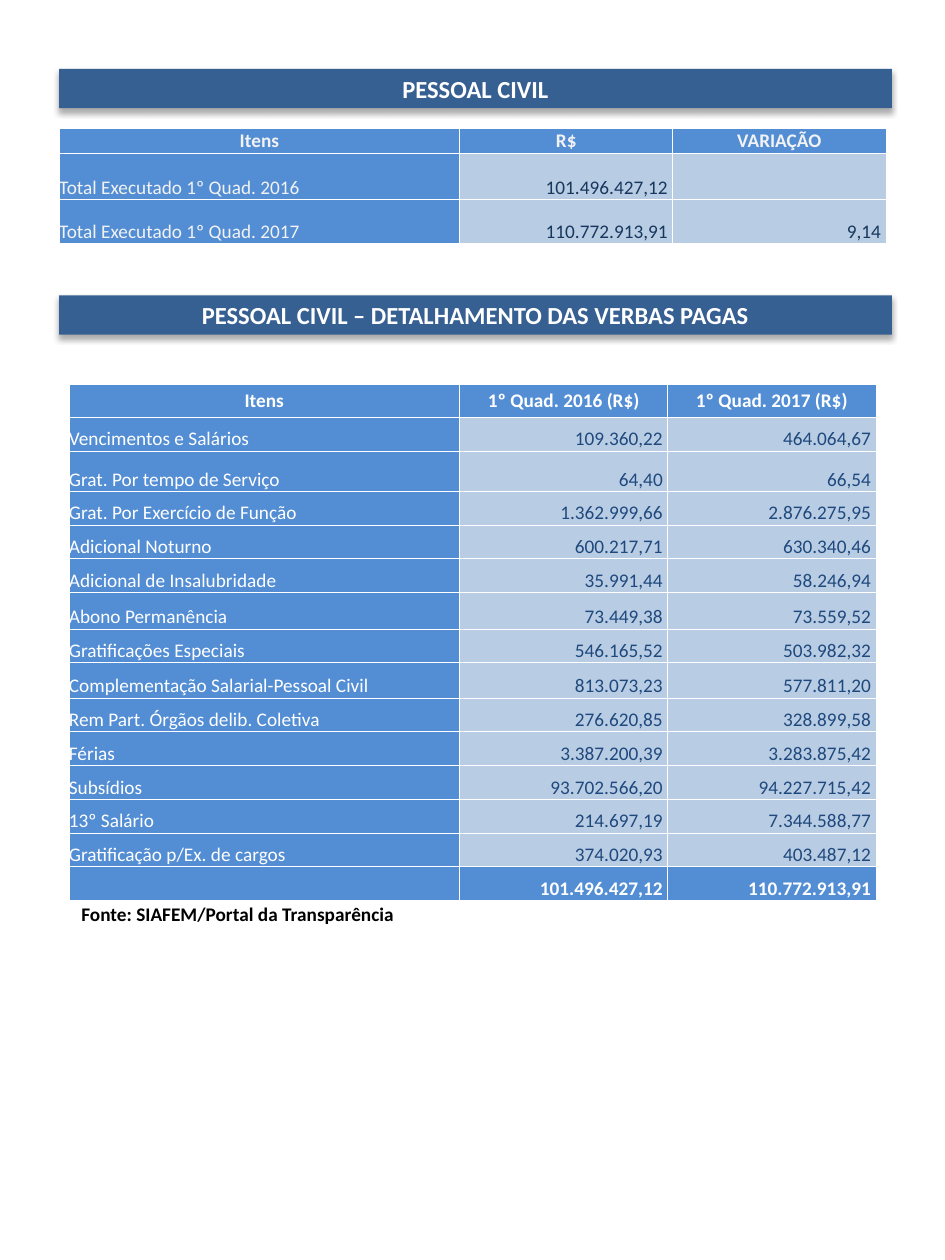
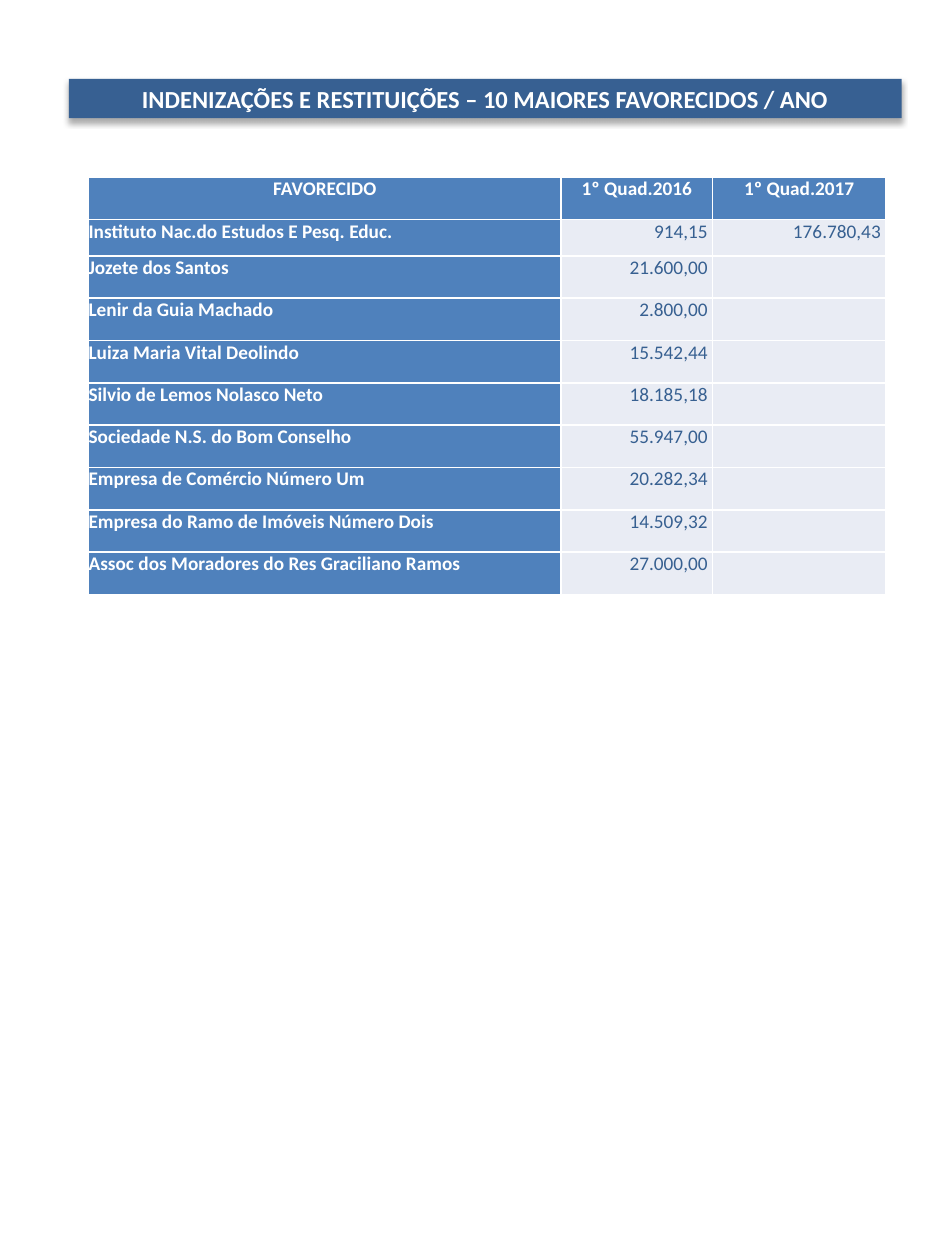
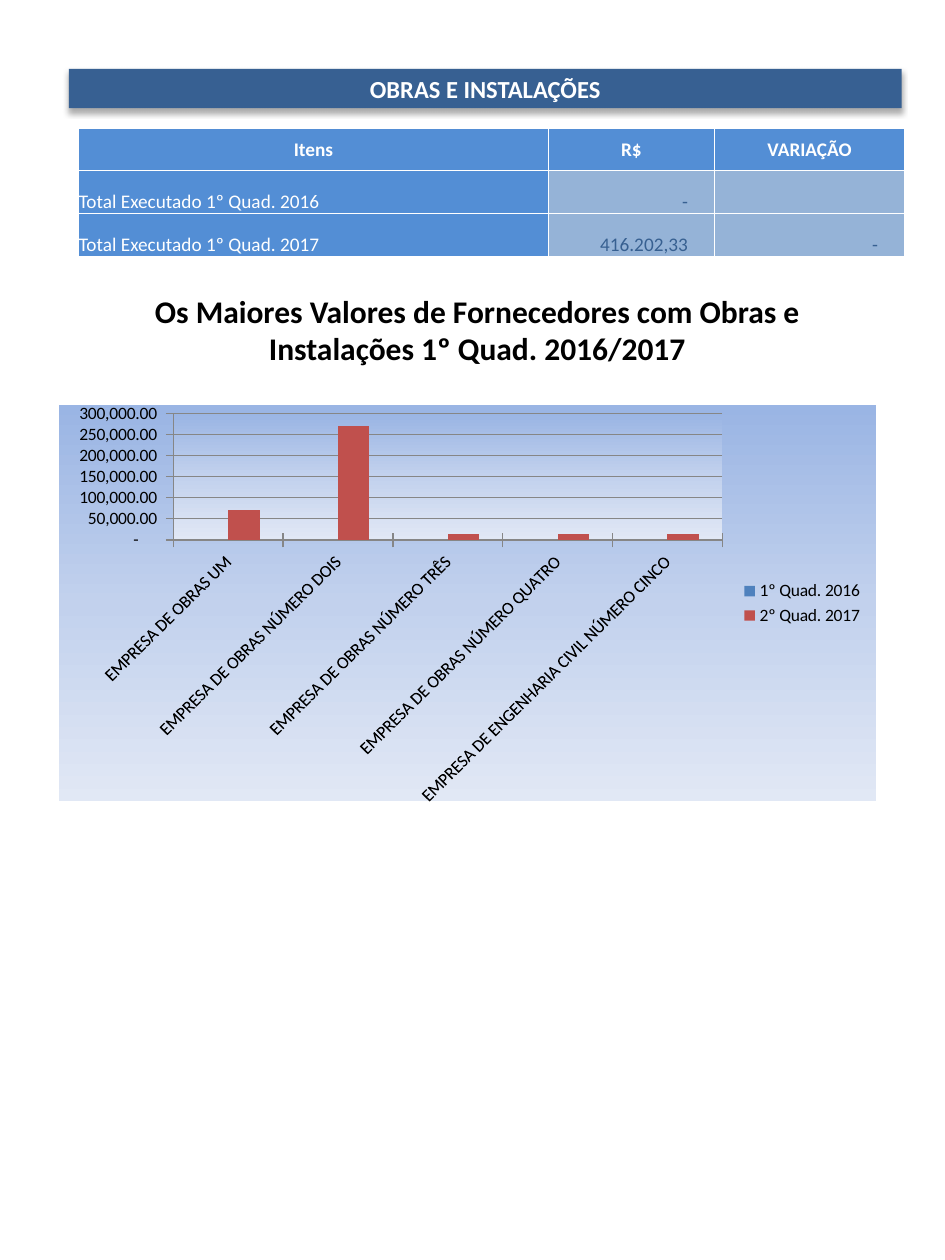
from dataclasses import dataclass
from typing import Any

import pptx
import pptx.chart.data
import pptx.dml.color
import pptx.enum.chart
import pptx.enum.shapes
import pptx.enum.text
import pptx.oxml
import pptx.oxml.ns
import pptx.util

ALIGN = pptx.enum.text.PP_ALIGN
ANCHOR = pptx.enum.text.MSO_ANCHOR
CHART = pptx.enum.chart
WIDE, HIGH = pptx.util.Inches(7.5), pptx.util.Inches(10)
STEP = WIDE / 96


@dataclass(frozen=True)
class Theme:
    font: str = "Calibri"
    band: str = "376092"
    white: str = "FFFFFF"
    black: str = "000000"
    line: str = "868686"
    first: str = "4F81BD"
    second: str = "C0504D"
    fade: tuple[str, ...] = ("9AB5E4", "C2D1ED", "E1E8F5")
    small: int = 10
    body: int = 11
    title: int = 14
    large: int = 18


THEME = Theme()


@dataclass(frozen=True)
class Box:
    col: float
    row: float
    wide: float
    high: float

    def place(self) -> tuple[int, ...]:
        return tuple(grid(n) for n in (self.col, self.row, self.wide, self.high))


@dataclass(frozen=True)
class Look:
    head: str
    fill: str
    ink: str
    label: str = THEME.white
    bold: bool = False
    anchor: Any = ANCHOR.BOTTOM
    top: Any = ANCHOR.MIDDLE
    edge: float = 0.5
    pad: float = 0.5


@dataclass(frozen=True)
class Sheet:
    col: float
    row: float
    cols: tuple[float, ...]
    rows: tuple[float, ...]
    look: Look
    data: list[tuple[str, ...]]
    total: bool = False


BLUE = Look("538ED5", "B8CCE4", "1F497D")
SUM = Look("538ED5", "B8CCE4", "17375D", label="F2F2F2")
PALE = Look("4F81BC", "E9ECF4", "376091", bold=True, anchor=ANCHOR.TOP,
            top=ANCHOR.TOP, edge=1)
WORKS = Look("538ED5", "95B3D7", "376091", pad=2.7)

STAFF = Sheet(6, 13, (40.7, 21.65, 21.65), (2.56, 4.7, 4.5), SUM, [
    ("Itens", "R$", "VARIAÇÃO"),
    ("Total Executado 1º Quad. 2016", "101.496.427,12", ""),
    ("Total Executado 1º Quad. 2017", "110.772.913,91", "9,14"),
])
PAY = Sheet(7, 39, (39.7, 21.15, 21.15),
            (3.4, 3.43, 4.1) + (3.43,) * 3 + (3.7, 3.43, 3.6) + (3.43,) * 6, BLUE, [
    ("Itens", "1º Quad. 2016 (R$)", "1º Quad. 2017 (R$)"),
    ("Vencimentos e Salários", "109.360,22", "464.064,67"),
    ("Grat. Por tempo de Serviço", "64,40", "66,54"),
    ("Grat. Por Exercício de Função", "1.362.999,66", "2.876.275,95"),
    ("Adicional Noturno", "600.217,71", "630.340,46"),
    ("Adicional de Insalubridade", "35.991,44", "58.246,94"),
    ("Abono Permanência", "73.449,38", "73.559,52"),
    ("Gratificações Especiais", "546.165,52", "503.982,32"),
    ("Complementação Salarial-Pessoal Civil", "813.073,23", "577.811,20"),
    ("Rem Part. Órgãos delib. Coletiva", "276.620,85", "328.899,58"),
    ("Férias", "3.387.200,39", "3.283.875,42"),
    ("Subsídios", "93.702.566,20", "94.227.715,42"),
    ("13º Salário", "214.697,19", "7.344.588,77"),
    ("Gratificação p/Ex. de cargos", "374.020,93", "403.487,12"),
    ("", "101.496.427,12", "110.772.913,91"),
], total=True)
PAID = Sheet(9, 18, (48, 15.4, 17.6), (4.3, 3.7) + (4.3,) * 8, PALE, [
    ("FAVORECIDO", "1º Quad.2016", "1º Quad.2017"),
    ("Instituto Nac.do Estudos E Pesq. Educ.", "914,15", "176.780,43"),
    ("Jozete dos Santos", "21.600,00", ""),
    ("Lenir da Guia Machado", "2.800,00", ""),
    ("Luiza Maria Vital Deolindo", "15.542,44", ""),
    ("Silvio de Lemos Nolasco Neto", "18.185,18", ""),
    ("Sociedade N.S. do Bom Conselho", "55.947,00", ""),
    ("Empresa de Comércio Número Um", "20.282,34", ""),
    ("Empresa do Ramo de Imóveis Número Dois", "14.509,32", ""),
    ("Assoc dos Moradores do Res Graciliano Ramos", "27.000,00", ""),
])
BUILD = Sheet(8, 13, (47.7, 16.9, 19.3), (4.35,) * 3, WORKS, [
    ("Itens", "R$", "VARIAÇÃO"),
    ("Total Executado 1º Quad. 2016", "-", ""),
    ("Total Executado 1º Quad. 2017", "416.202,33", "-"),
])
FIRMS = [
    "EMPRESA DE OBRAS UM",
    "EMPRESA DE OBRAS NÚMERO DOIS",
    "EMPRESA DE OBRAS NÚMERO TRÊS",
    "EMPRESA DE OBRAS NÚMERO QUATRO",
    "EMPRESA DE ENGENHARIA CIVIL NÚMERO CINCO",
]
COSTS = [72000, 270000, 15000, 15000, 15000]


def grid(count: float) -> int:
    return round(count * STEP)


def tint(code: str) -> Any:
    return pptx.dml.color.RGBColor.from_string(code)


def node(text: str) -> Any:
    tag, rest = text.split(None, 1) if " " in text.split(">")[0] else text.split(">", 1)
    start = tag + " " + pptx.oxml.ns.nsdecls("a", "c")
    return pptx.oxml.parse_xml(start + (" " if " " in text.split(">")[0] else ">") + rest)


def write(frame: Any, text: str, size: int = THEME.body, ink: str = THEME.black,
          bold: bool = False, align: Any = ALIGN.LEFT, anchor: Any = ANCHOR.TOP) -> None:
    frame.word_wrap = True
    frame.vertical_anchor = anchor
    para = frame.paragraphs[0]
    para.alignment = align
    if not text:
        para._p.append(node(f'<a:endParaRPr sz="{size * 100}"/>'))
        return
    run = para.add_run()
    run.text = text
    run.font.name = THEME.font
    run.font.size = pptx.util.Pt(size)
    run.font.bold = bold
    run.font.color.rgb = tint(ink)


def note(slide: Any, box: Box, text: str, **form: Any) -> None:
    write(slide.shapes.add_textbox(*box.place()).text_frame, text, **form)


def band(shape: Any, col: float, row: float, text: str) -> None:
    box = Box(col, row, 84.6, 4)
    shape.left, shape.top, shape.width, shape.height = box.place()
    shape.fill.solid()
    shape.fill.fore_color.rgb = tint(THEME.band)
    shape.line.fill.background()
    shape._element.spPr.append(node(
        '<a:effectLst><a:outerShdw blurRad="44450" dist="27940" dir="5400000">'
        f'<a:srgbClr val="{THEME.black}"><a:alpha val="32000"/></a:srgbClr>'
        '</a:outerShdw></a:effectLst>'))
    shape.text_frame.auto_size = pptx.enum.text.MSO_AUTO_SIZE.NONE
    write(shape.text_frame, text, size=THEME.title, ink=THEME.white, bold=True,
          align=ALIGN.CENTER, anchor=ANCHOR.MIDDLE)


def paint(cell: Any, fill: str, edge: float, pad: float) -> None:
    cell.margin_left = cell.margin_top = cell.margin_bottom = 0
    cell.margin_right = grid(pad)
    cell.fill.solid()
    cell.fill.fore_color.rgb = tint(fill)
    for spot, side in enumerate("LRTB"):
        cell._tc.get_or_add_tcPr().insert(spot, node(
            f'<a:ln{side} w="{pptx.util.Pt(edge)}"><a:solidFill>'
            f'<a:srgbClr val="{THEME.white}"/></a:solidFill></a:ln{side}>'))


def table(slide: Any, sheet: Sheet) -> None:
    look = sheet.look
    box = Box(sheet.col, sheet.row, sum(sheet.cols), sum(sheet.rows))
    made = slide.shapes.add_table(len(sheet.rows), len(sheet.cols), *box.place()).table
    made.first_row = made.horz_banding = False
    for part, size in zip(made.columns, sheet.cols):
        part.width = grid(size)
    for part, size in zip(made.rows, sheet.rows):
        part.height = grid(size)
    for y, line in enumerate(sheet.data):
        head = y == 0
        last = sheet.total and y == len(sheet.data) - 1
        for x, text in enumerate(line):
            dark = head or last or x == 0
            cell = made.cell(y, x)
            paint(cell, look.head if dark else look.fill, look.edge,
                  look.pad if x and not head else 0)
            align = ALIGN.CENTER if head else ALIGN.RIGHT if x else ALIGN.LEFT
            anchor = look.top if head else look.anchor
            write(cell.text_frame, text, ink=look.label if dark else look.ink,
                  bold=head or last or (look.bold and x == 0), align=align)
            cell.vertical_anchor = anchor


def fade() -> Any:
    stops = "".join(f'<a:gs pos="{spot * 50000}"><a:srgbClr val="{code}"/></a:gs>'
                    for spot, code in enumerate(THEME.fade))
    return node(f'<c:spPr><a:gradFill><a:gsLst>{stops}</a:gsLst>'
                '<a:lin ang="5400000" scaled="0"/></a:gradFill>'
                '<a:ln><a:noFill/></a:ln></c:spPr>')


def graph(slide: Any, box: Box) -> None:
    data = pptx.chart.data.CategoryChartData()
    data.categories = FIRMS
    data.add_series("1º Quad. 2016", [None] * len(FIRMS))
    data.add_series("2º Quad. 2017", COSTS)
    chart = slide.shapes.add_chart(
        CHART.XL_CHART_TYPE.COLUMN_CLUSTERED, *box.place(), data).chart
    chart.has_title = False
    chart.font.name = THEME.font
    chart.font.size = pptx.util.Pt(THEME.small)
    chart.font.color.rgb = tint(THEME.black)
    chart.has_legend = True
    chart.legend.position = CHART.XL_LEGEND_POSITION.RIGHT
    chart.legend.include_in_layout = False
    plot = chart.plots[0]
    plot.vary_by_categories = False
    plot.gap_width, plot.overlap = 150, 0
    for part, code in zip(plot.series, (THEME.first, THEME.second)):
        part.format.fill.solid()
        part.format.fill.fore_color.rgb = tint(code)
    names, worth = chart.category_axis, chart.value_axis
    worth.minimum_scale, worth.maximum_scale, worth.major_unit = 0, 300000, 50000
    worth.has_major_gridlines = True
    worth.tick_labels.number_format = r'_-* #,##0.00_-;\-* #,##0.00_-;_-* "-"??_-'
    worth.tick_labels.number_format_is_linked = False
    for axis in (names, worth):
        axis.major_tick_mark = CHART.XL_TICK_MARK.CROSS
        axis.tick_labels.font.size = pptx.util.Pt(THEME.small)
    for item in (names, worth, worth.major_gridlines):
        item.format.line.color.rgb = tint(THEME.line)
    names._element.txPr.bodyPr.set("rot", "-2700000")
    space = chart._chartSpace
    space.chart.addnext(fade())
    space.chart.plotArea.append(fade())


def page(deck: Any, col: float, row: float, title: str) -> Any:
    slide = deck.slides.add_slide(deck.slide_layouts[5])
    band(slide.shapes.title, col, row, title)
    return slide


def main() -> None:
    deck = pptx.Presentation()
    deck.slide_width, deck.slide_height = WIDE, HIGH

    slide = page(deck, 6, 7, "PESSOAL CIVIL")
    table(slide, STAFF)
    bar = slide.shapes.add_shape(
        pptx.enum.shapes.MSO_SHAPE.RECTANGLE, *Box(6, 30, 84.6, 4).place())
    band(bar, 6, 30, "PESSOAL CIVIL – DETALHAMENTO DAS VERBAS PAGAS")
    table(slide, PAY)
    note(slide, Box(7, 91, 48, 3.7), "Fonte: SIAFEM/Portal da Transparência", bold=True)

    slide = page(deck, 7, 8, "INDENIZAÇÕES E RESTITUIÇÕES – 10 MAIORES FAVORECIDOS / ANO")
    table(slide, PAID)

    slide = page(deck, 7, 7, "OBRAS E INSTALAÇÕES")
    table(slide, BUILD)
    note(slide, Box(8, 29, 81, 9.1),
         "Os Maiores Valores de Fornecedores com Obras e Instalações 1º Quad. 2016/2017",
         size=THEME.large, bold=True, align=ALIGN.CENTER)
    graph(slide, Box(6, 41, 83, 40.8))

    deck.save("out.pptx")


if __name__ == "__main__":
    main()
